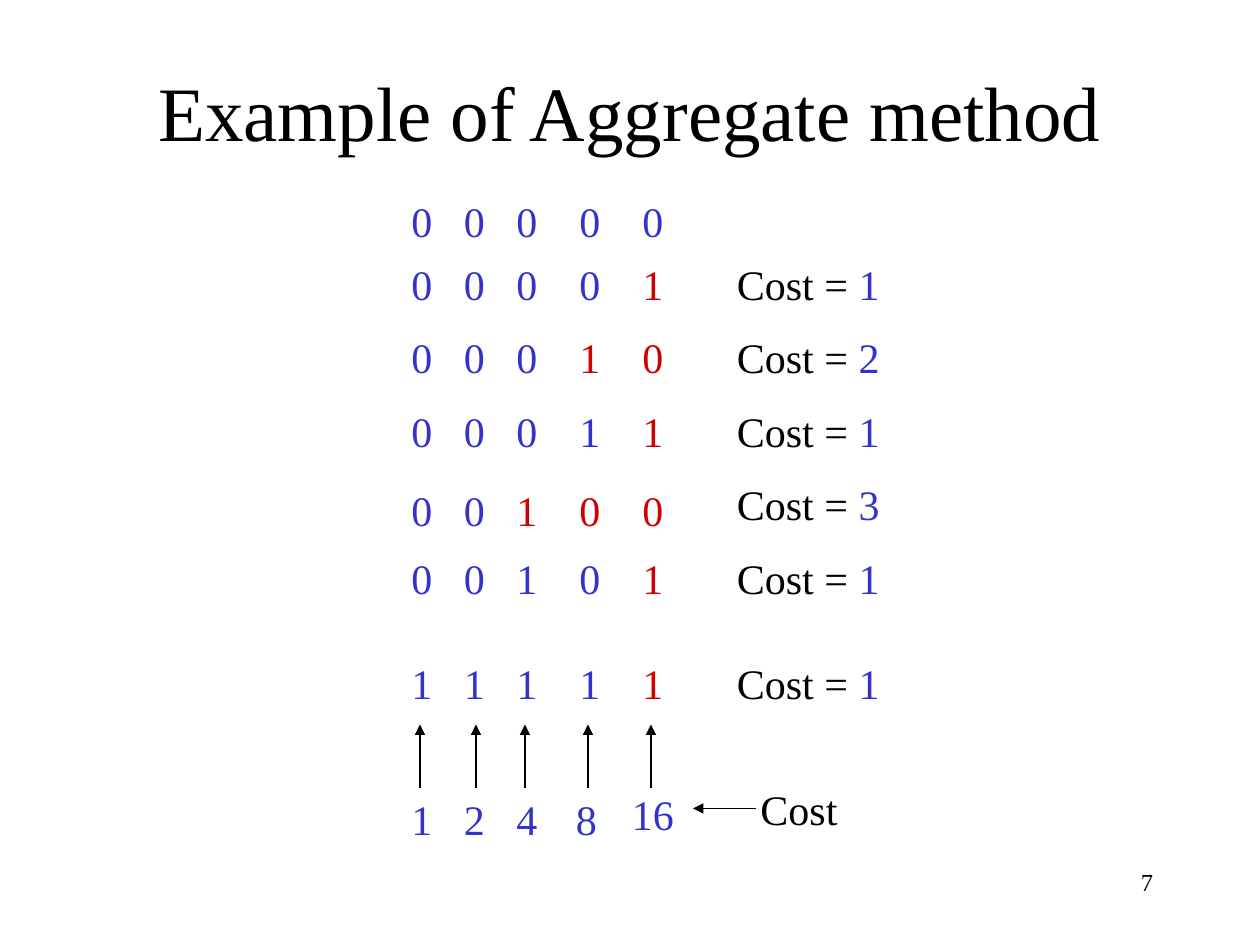
from lxml.etree import SubElement
from pptx import Presentation
from pptx.dml.color import RGBColor
from pptx.enum.shapes import MSO_CONNECTOR
from pptx.enum.text import MSO_ANCHOR, PP_ALIGN
from pptx.oxml.ns import qn
from pptx.util import Pt

BLACK = RGBColor(0x00, 0x00, 0x00)
BLUE = RGBColor(0x33, 0x33, 0xCC)
RED = RGBColor(0xCE, 0x00, 0x00)
FONT = "Times New Roman"
BITS = 5
STOPS = (30, 60, 96, 132)
HIGH = 36

# Top of the row, counter value, number of bits that flipped
ROWS = (
    (108, 0, 0),
    (144, 1, 1),
    (186, 2, 2),
    (228, 3, 1),
    (270, 4, 3),
    (312, 5, 1),
    (372, 31, 1),
)
# Label, its left, top and width, and the x of its arrow
WEIGHTS = (
    ("1", 228, 450, 26.5, 240),
    ("2", 258, 450, 26.5, 272),
    ("4", 288, 450, 26.5, 300),
    ("8", 322, 450, 26.5, 336),
    ("16", 354, 447, 38.5, 372),
)


def write(frame, parts, size=24, align=PP_ALIGN.LEFT, tabs=(), wrap=False):
    """Fill the first paragraph with (text, colour) runs."""
    frame.word_wrap = wrap
    para = frame.paragraphs[0]
    para.alignment = align
    if tabs:
        stops = SubElement(para._p.get_or_add_pPr(), qn("a:tabLst"))
        for pos in tabs:
            SubElement(stops, qn("a:tab"), pos=str(Pt(pos)), algn="l")
    for text, color in parts:
        run = para.add_run()
        run.text = text
        run.font.name = FONT
        run.font.size = Pt(size)
        run.font.color.rgb = color


def label(shapes, parts, left, top, width, **style):
    box = shapes.add_textbox(Pt(left), Pt(top), Pt(width), Pt(HIGH))
    write(box.text_frame, parts, **style)


def arrow(shapes, start, end):
    line = shapes.add_connector(
        MSO_CONNECTOR.STRAIGHT, *(Pt(v) for v in start + end))
    line.line.color.rgb = BLACK
    line.line.width = Pt(0.75)
    SubElement(line.line._get_or_add_ln(), qn("a:tailEnd"), type="triangle")
    SubElement(line._element.spPr, qn("a:effectLst"))


def heading(slide, left, top, width, height):
    title = slide.shapes.title
    title.left, title.top = Pt(left), Pt(top)
    title.width, title.height = Pt(width), Pt(height)
    title.text_frame.vertical_anchor = MSO_ANCHOR.MIDDLE
    write(title.text_frame, [("Example of Aggregate method", BLACK)],
          size=44, align=PP_ALIGN.CENTER, wrap=True)


def counter(slide, left, top):
    """List the counter states, with flipped bits in red and their cost."""
    first = ROWS[0][0]
    for pos, value, cost in ROWS:
        y = top + pos - first
        text = "\t".join(format(value, f"0{BITS}b"))
        cut = 2 * (BITS - cost)
        parts = [(text[:cut], BLUE)]
        if cost:
            parts.append((text[cut:], RED))
            label(slide.shapes, [("Cost = ", BLACK), (str(cost), BLUE)],
                  left + 186, y, 96)
        drop = 3.5 if value == 4 else 0
        label(slide.shapes, parts, left, y + drop, 160, tabs=STOPS, wrap=True)


def weights(slide, top, height):
    """Place the column costs with arrows up to their bits."""
    for text, left, y, width, x in WEIGHTS:
        shapes = slide.shapes.add_group_shape().shapes
        arrow(shapes, (x, top + height), (x, top))
        label(shapes, [(text, BLUE)], left, y, width)
    shapes = slide.shapes.add_group_shape().shapes
    label(shapes, [("Cost", BLACK)], 427.5, top + 30, 58.5)
    arrow(shapes, (432, top + 48), (396, top + 48))


def main():
    deck = Presentation()
    deck.slide_width, deck.slide_height = Pt(720), Pt(540)
    slide = deck.slides.add_slide(deck.slide_layouts[5])
    heading(slide, 54, 18, 612, 90)
    counter(slide, 228, 108)
    weights(slide, 414, 36)
    label(slide.shapes, [("7", BLACK)], 516, 492, 150,
          size=14, align=PP_ALIGN.RIGHT, wrap=True)
    deck.save("out.pptx")


if __name__ == "__main__":
    main()
